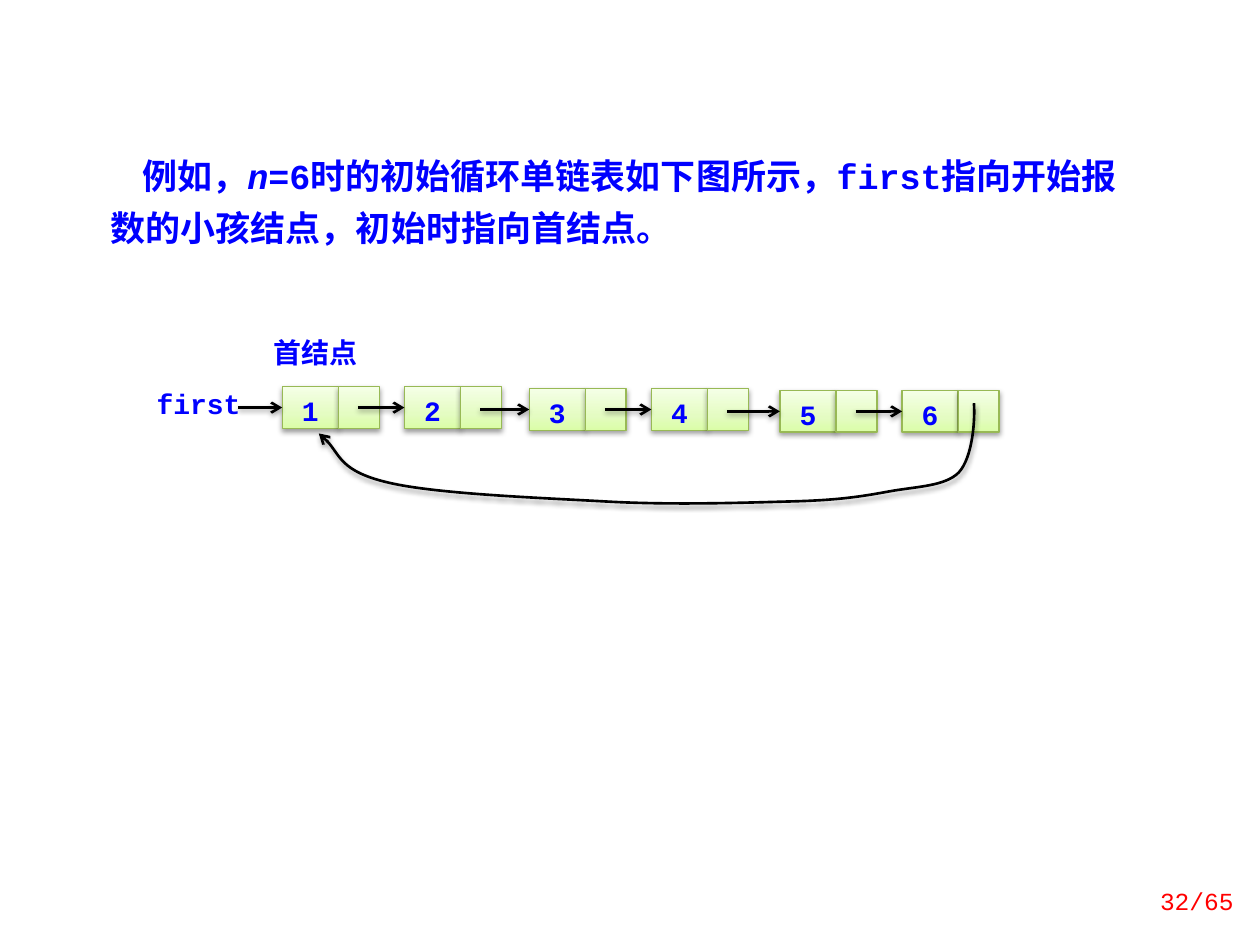
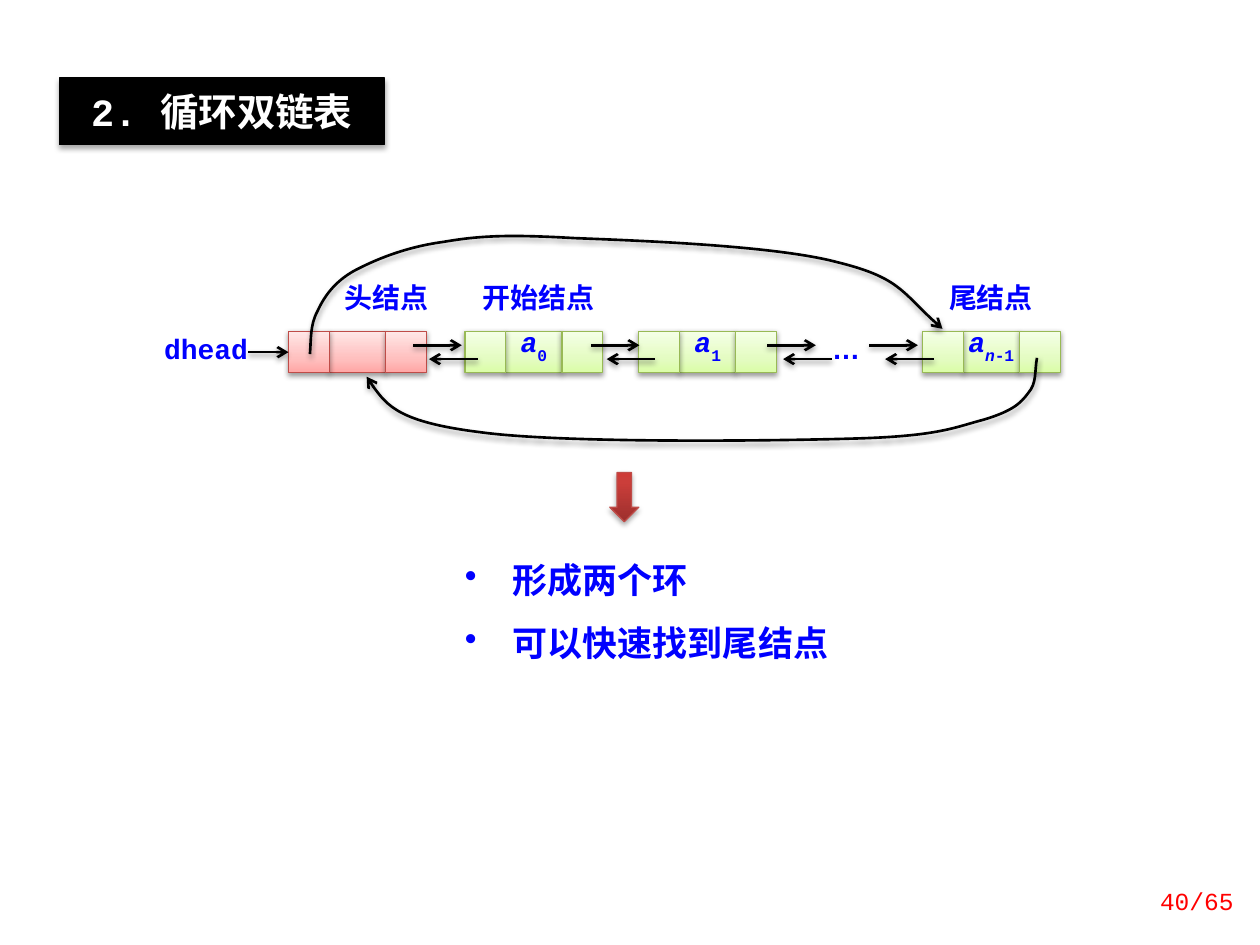
from copy import deepcopy
from dataclasses import dataclass

from lxml.etree import SubElement
from pptx import Presentation
from pptx.dml.color import RGBColor
from pptx.enum.shapes import MSO_CONNECTOR, MSO_SHAPE
from pptx.enum.text import MSO_ANCHOR, PP_ALIGN
from pptx.oxml.ns import qn
from pptx.util import Emu, Inches, Pt


@dataclass(frozen=True)
class Theme:
    font: str = "Courier New"
    sign: str = "Arial"
    blue: str = "0000FF"
    red: str = "FF0000"
    black: str = "000000"
    white: str = "FFFFFF"
    title: int = 22
    body: int = 20
    label: int = 16
    foot: int = 14
    # three stops from bottom to top, then the outline
    green: tuple = ((0, "DAFDA7"), (0.35, "E4FCC2"), (1, "F5FFE7"), "98B955")
    pink: tuple = ((0, "FFA6A5"), (0.35, "FFC0BF"), (1, "FFE7E7"), "BF4C48")
    brick: tuple = ((0, "9C2F2D"), (0.8, "CB3E3A"), (1, "CE3B37"), "BF4C48")


T = Theme()
WIDE, HIGH = Inches(10), Inches(7.5)
COLS, ROWS = 100, 75           # square grid over the slide
PTR, VAL, TALL = 3.25, 4.45, 3.3  # pointer cell, value cell, node height


def grid(x, y):
    return Emu(round(x * WIDE / COLS)), Emu(round(y * HIGH / ROWS))


def rgb(code):
    return RGBColor.from_string(code)


def shade(shape, alpha=38, dist=1.6):
    """Give a soft shadow below; call it after the line is set."""
    props = shape._element.spPr
    for old in props.findall(qn("a:effectLst")):
        props.remove(old)
    drop = SubElement(SubElement(props, qn("a:effectLst")), qn("a:outerShdw"),
                      blurRad=str(Pt(3.1)), dist=str(Pt(dist)),
                      dir="5400000", rotWithShape="0")
    tone = SubElement(drop, qn("a:srgbClr"), val=T.black)
    SubElement(tone, qn("a:alpha"), val=str(alpha * 1000))


def blend(shape, tones):
    *stops, edge = tones
    fill = shape.fill
    fill.gradient()
    fill.gradient_angle = 90
    last = shape._element.spPr.findall(".//" + qn("a:gs"))[-1]
    last.addnext(deepcopy(last))
    for stop, (pos, code) in zip(fill.gradient_stops, stops):
        stop.position = pos
        stop.color.rgb = rgb(code)
    shape.line.color.rgb = rgb(edge)
    shape.line.width = Pt(0.75)


def write(shape, lines, size, color=T.blue, bold=True, font=T.font,
          align=PP_ALIGN.CENTER, space=None, pad=None, anchor=MSO_ANCHOR.TOP,
          first=0, bullet=None):
    """Each line is a list of (text, marks); marks: i italic, s subscript."""
    frame = shape.text_frame
    frame.word_wrap = True
    frame.vertical_anchor = anchor
    if pad:
        frame.margin_left, frame.margin_top = Inches(pad[0]), Inches(pad[1])
        frame.margin_right, frame.margin_bottom = Inches(pad[2]), Inches(pad[1])
    for i, runs in enumerate(lines):
        para = frame.add_paragraph() if i else frame.paragraphs[0]
        para.alignment = align
        if space:
            para.line_spacing = space
        props = para._p.get_or_add_pPr()
        if first:
            props.set("indent", str(Inches(first)))
        if bullet:
            props.set("marL", str(Inches(-first)))
            SubElement(props, qn("a:buChar"), char=bullet)
        para.font.name, para.font.size = font, Pt(size)
        para.font.bold, para.font.color.rgb = bold, rgb(color)
        for text, marks in runs:
            run = para.add_run()
            run.text = text
            if "i" in marks:
                run.font.italic = True
            if "s" in marks:
                run._r.get_or_add_rPr().set("baseline", "-30000")


def shape_at(slide, x, y, w, h, kind=MSO_SHAPE.RECTANGLE):
    shape = slide.shapes.add_shape(kind, *grid(x, y), *grid(w, h))
    shape.shadow.inherit = False
    return shape


def text_at(slide, x, y, w, h, lines, size, **style):
    box = slide.shapes.add_textbox(*grid(x, y), *grid(w, h))
    write(box, lines, size, **style)


def label(slide, x, y, w, text, pad=(0, 0, 0), font=T.font):
    box = shape_at(slide, x, y, w, TALL)
    box.fill.solid()
    box.fill.fore_color.rgb = rgb(T.white)
    box.line.fill.background()
    write(box, [[(text, "")]], T.label, pad=pad, font=font)


def cell(slide, x, y, w, tones=T.green, runs=None, space=19, pad=(0.1, 0, 0.1)):
    box = shape_at(slide, x, y, w, TALL)
    blend(box, tones)
    shade(box)
    if runs:
        write(box, [runs], T.label, space=Pt(space), pad=pad)
    return box


def ink(shape):
    """Black line with an open arrowhead at its end."""
    shape.line.color.rgb = rgb(T.black)
    shape.line.width = Pt(1.5)
    SubElement(shape.line._get_or_add_ln(), qn("a:tailEnd"), type="arrow")
    shade(shape)


def link(slide, x, y, end, goal=None):
    """Level arrow, joined to the left side of goal if there is one."""
    line = slide.shapes.add_connector(MSO_CONNECTOR.STRAIGHT,
                                      *grid(x, y), *grid(end, y))
    if goal is not None:
        line.end_connect(goal, 1)
    ink(line)


def curve(slide, x, y, points):
    """Chain of cubic curves: a start, then two handles and an end for each."""
    start, *rest = [grid(x + dx, y + dy) for dx, dy in points]
    pen = slide.shapes.build_freeform(*start)
    pen.add_line_segments(rest, close=False)
    shape = pen.convert_to_shape()
    steps = list(shape._element.spPr.iter(qn("a:lnTo")))
    for i in range(0, len(steps), 3):
        trio = steps[i:i + 3]
        bend = SubElement(trio[0].getparent(), qn("a:cubicBezTo"))
        for step in trio:
            bend.append(step[0])
            step.getparent().remove(step)
    shape.fill.background()
    ink(shape)


def footer(slide, page):
    text_at(slide, 89.8, 69.5, 9.1, 4, [[(f"{page}/65", "")]], T.foot,
            color=T.red, bold=False, align=PP_ALIGN.RIGHT,
            anchor=MSO_ANCHOR.MIDDLE)


SINGLE_BACK = [
    (54.9, 1.3), (55, 2.6), (54.8, 5.6), (53.7, 6.8),
    (52.6, 7.9), (50.4, 7.9), (48.2, 8.3), (46, 8.7), (44.2, 9), (40.4, 9.1),
    (36.6, 9.2), (30.9, 9.4), (25.6, 9.1), (20.2, 8.8), (12.2, 8.5), (8.4, 7.6),
    (4.6, 6.7), (4.5, 4.9), (2.9, 3.7)]
DOUBLE_BACK = [
    (59.4, 2.1), (59.2, 3.2), (59.4, 4.1), (58.7, 4.9),
    (58.1, 5.7), (57.5, 6.3), (55.2, 7), (52.9, 7.6), (51.7, 8.3), (45.1, 8.5),
    (38.4, 8.7), (21.7, 8.9), (15.2, 8), (8.8, 7.2), (7.4, 5.5), (6.2, 3.6)]
DOUBLE_OVER = [
    (1.7, 1.8), (1.8, 0.6), (1.7, -0.5), (2.3, -1.6),
    (2.8, -2.7), (3.6, -3.9), (5.2, -4.8), (6.9, -5.7), (9.3, -6.7),
    (12.3, -7.1), (15.2, -7.6), (17.5, -7.7), (22.7, -7.4), (27.9, -7.2),
    (38.6, -6.8), (43.5, -5.5), (48.4, -4.3), (48.7, -3), (51.9, -0.2)]


def single_ring(slide, x, y):
    label(slide, x - 1.4, y - 4.1, 8.1, "首结点")
    label(slide, x - 10.7, y, 8.1, "first")
    nodes = []
    for i, dx in enumerate((0, 9.7, 19.6, 29.3, 39.5, 49.2)):
        left, top = x + dx, y + 0.15 * (i // 2)
        box = cell(slide, left, top, VAL, runs=[(str(i + 1), "")], space=23)
        cell(slide, left + VAL, top, PTR)
        nodes.append((left, top, box))
    tails = [x - 3.5] + [left + 6 for left, _, _ in nodes]
    for tail, (left, top, box) in zip(tails, nodes):
        link(slide, tail, top + TALL / 2, left, box)
    curve(slide, x, y, SINGLE_BACK)


def double_ring(slide, x, y):
    for dx, w, text in ((14.9, 9.9, "开始结点"), (51.7, 8.1, "尾结点"),
                        (3.7, 8.1, "头结点")):
        label(slide, x + dx, y - 4, w, text)
    label(slide, x - 10.4, y, 8.5, "dhead", pad=(0.02, 0, 0.1))
    label(slide, x + 41.7, y, 5.1, "…", pad=(0.1, 0, 0.1), font=T.sign)
    heads = []
    for dx, tones, runs in (
            (0, T.pink, None),
            (14, T.green, [("a", "i"), ("0", "s")]),
            (27.8, T.green, [("a", "i"), ("1", "s")]),
            (50.3, T.green, [("a", "i"), ("n", "is"), ("-1", "s")])):
        pad = (0, 0, 0) if runs and len(runs) > 2 else (0.1, 0, 0.1)
        cell(slide, x + dx + PTR, y, VAL, tones, runs, pad=pad)
        cell(slide, x + dx + PTR + VAL, y, PTR, tones)
        heads.append(cell(slide, x + dx, y, PTR, tones))
    link(slide, x - 3.2, y + TALL / 2, x, heads[0])
    for dx in (9.9, 24, 38, 46.1):
        link(slide, x + dx, y + 1.1, x + dx + 3.85)
        link(slide, x + dx + 5.1, y + 2.2, x + dx + 1.25)
    curve(slide, x, y, DOUBLE_BACK)
    curve(slide, x, y, DOUBLE_OVER)


def heading(slide, text):
    band = shape_at(slide, 4.7, 6.2, 25.8, 5.3)
    band.fill.solid()
    band.fill.fore_color.rgb = rgb(T.black)
    band.line.color.rgb = rgb(T.black)
    band.line.width = Pt(0.75)
    shade(band, 35, 1.8)
    write(band, [[(text, "")]], T.title, color=T.white, pad=(0.1, 0.08, 0.1))


def single_slide(slide):
    text_at(slide, 7.8, 10.9, 83.6, 9, [[
        ("例如，", ""), ("n", "i"),
        ("=6时的初始循环单链表如下图所示，first指向开始报数的小孩结点，初始时指向首结点。", "")]],
        T.body, align=PP_ALIGN.LEFT, space=Pt(30), first=0.25)
    single_ring(slide, 22.4, 30.7)
    footer(slide, 32)


def double_slide(slide):
    heading(slide, "2. 循环双链表")
    double_ring(slide, 22.9, 26.3)
    text_at(slide, 35.9, 42.2, 32.8, 10.5,
            [[("形成两个环", "")], [("可以快速找到尾结点", "")]], T.body,
            align=PP_ALIGN.LEFT, space=1.5, first=-0.38, bullet="•")
    arrow = shape_at(slide, 48.4, 37.5, 2.3, 3.9, MSO_SHAPE.DOWN_ARROW)
    blend(arrow, T.brick)
    shade(arrow, 35, 1.8)
    footer(slide, 40)


def main():
    deck = Presentation()
    deck.slide_width, deck.slide_height = WIDE, HIGH
    for build in (single_slide, double_slide):
        build(deck.slides.add_slide(deck.slide_layouts[6]))
    deck.save("out.pptx")


if __name__ == "__main__":
    main()
